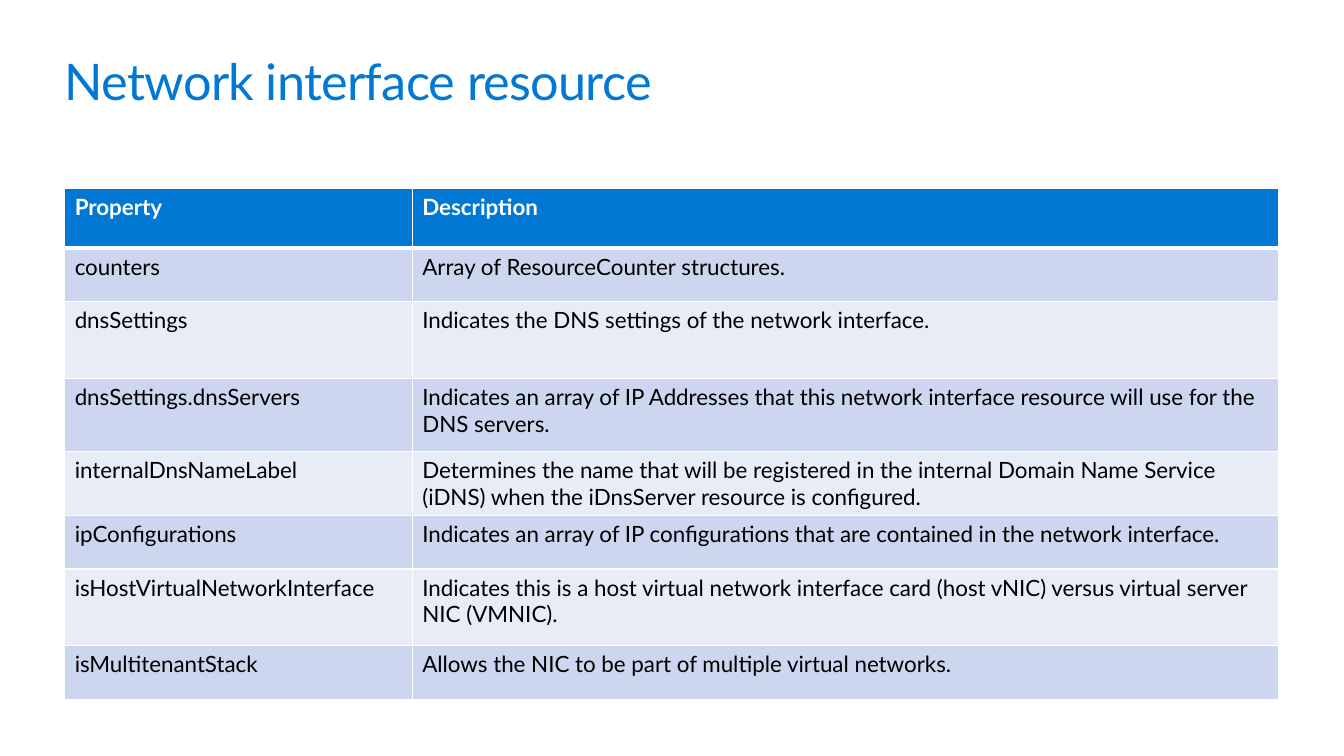
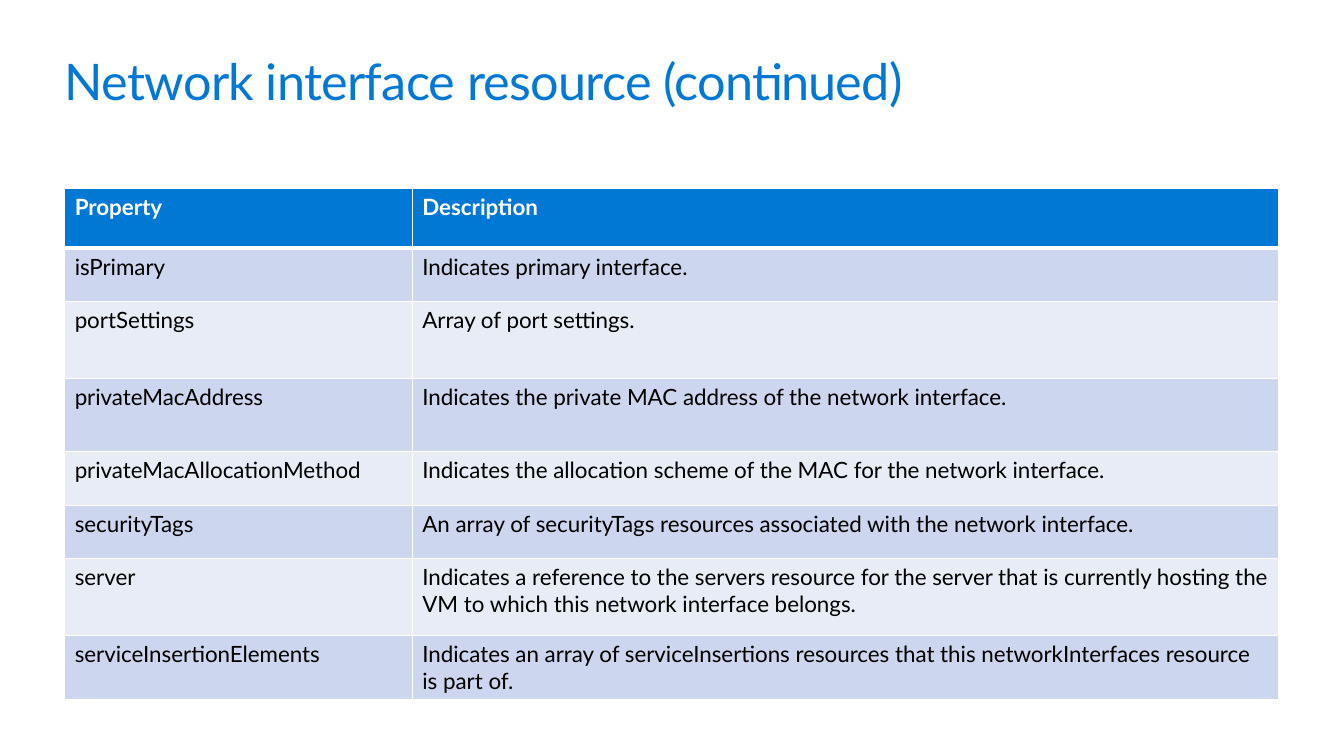
from dataclasses import dataclass

from lxml.etree import SubElement
from pptx import Presentation
from pptx.dml.color import RGBColor
from pptx.oxml.ns import qn
from pptx.slide import Slide
from pptx.table import _Cell
from pptx.text.text import TextFrame
from pptx.util import Cm, Pt

FONT = "Lato"
BLUE = "0078D4"
WHITE = "FFFFFF"
BLACK = "000000"
BANDS = ("CCD6EF", "E7ECF7")

LEFT = Cm(1.63)
TITLE_TOP, TITLE_HEIGHT = Cm(1.27), Cm(1.55)
TABLE_TOP = Cm(4.75)
COLUMN_WIDTHS = (Cm(8.76), Cm(21.84))
CONTENT_WIDTH = sum(COLUMN_WIDTHS)
ROW_HEIGHTS = [Cm(height) for height in (1.5, 1.35, 1.93, 1.85, 1.35, 1.35, 1.93, 1.35)]
HEADER = ("Property", "Description")
THIN, THICK = Pt(1), Pt(3)


@dataclass(frozen=True)
class PropertyPage:
    title: str
    properties: tuple[tuple[str, str], ...]


PAGES = (
    PropertyPage("Network interface resource", (
        ("counters", "Array of ResourceCounter structures."),
        ("dnsSettings", "Indicates the DNS settings of the network interface."),
        ("dnsSettings.dnsServers",
         "Indicates an array of IP Addresses that this network interface resource "
         "will use for the DNS servers."),
        ("internalDnsNameLabel",
         "Determines the name that will be registered in the internal Domain Name "
         "Service (iDNS) when the iDnsServer resource is configured."),
        ("ipConfigurations",
         "Indicates an array of IP configurations that are contained in the network interface."),
        ("isHostVirtualNetworkInterface",
         "Indicates this is a host virtual network interface card (host vNIC) versus "
         "virtual server NIC (VMNIC)."),
        ("isMultitenantStack", "Allows the NIC to be part of multiple virtual networks."),
    )),
    PropertyPage("Network interface resource (continued)", (
        ("isPrimary", "Indicates primary interface."),
        ("portSettings", "Array of port settings."),
        ("privateMacAddress", "Indicates the private MAC address of the network interface."),
        ("privateMacAllocationMethod",
         "Indicates the allocation scheme of the MAC for the network interface."),
        ("securityTags",
         "An array of securityTags resources associated with the network interface."),
        ("server",
         "Indicates a reference to the servers resource for the server that is currently "
         "hosting the VM to which this network interface belongs."),
        ("serviceInsertionElements",
         "Indicates an array of serviceInsertions resources that this networkInterfaces "
         "resource is part of."),
    )),
)


def color(value: str) -> RGBColor:
    return RGBColor.from_string(value)


def write(frame: TextFrame, text: str, *, size: float, fill: str,
          bold: bool = False, spacing: float = 0) -> None:
    """Write one formatted span; spacing is the letter spacing in points."""
    span = frame.paragraphs[0].add_run()
    span.text = text
    span.font.name = FONT
    span.font.size = Pt(size)
    span.font.bold = bold
    span.font.color.rgb = color(fill)
    if spacing:
        span.font._element.set("spc", str(round(spacing * 100)))


def set_borders(cell: _Cell, *, top: int, bottom: int) -> None:
    properties = cell._tc.get_or_add_tcPr()
    for side, width in (("L", THIN), ("R", THIN), ("T", top), ("B", bottom)):
        line = SubElement(properties, qn(f"a:ln{side}"), w=str(width))
        SubElement(SubElement(line, qn("a:solidFill")), qn("a:srgbClr"), val=WHITE)


def add_title(page: Slide, text: str) -> None:
    box = page.shapes.add_textbox(LEFT, TITLE_TOP, CONTENT_WIDTH, TITLE_HEIGHT)
    frame = box.text_frame
    frame.word_wrap = True
    frame.margin_left = frame.margin_top = frame.margin_right = frame.margin_bottom = 0
    write(frame, text, size=36, fill=BLUE, spacing=-0.5)


def add_property_table(page: Slide, properties: tuple[tuple[str, str], ...]) -> None:
    rows = (HEADER, *properties)
    table = page.shapes.add_table(len(rows), len(HEADER), LEFT, TABLE_TOP,
                                  CONTENT_WIDTH, sum(ROW_HEIGHTS)).table
    table.horz_banding = False
    for column, width in zip(table.columns, COLUMN_WIDTHS):
        column.width = width
    for index, (texts, height) in enumerate(zip(rows, ROW_HEIGHTS)):
        table.rows[index].height = height
        is_header = index == 0
        for cell, text in zip(table.rows[index].cells, texts):
            set_borders(cell, top=THICK if index == 1 else THIN,
                        bottom=THICK if is_header else THIN)
            cell.fill.solid()
            cell.fill.fore_color.rgb = color(BLUE if is_header else BANDS[(index - 1) % 2])
            write(cell.text_frame, text, size=16, bold=is_header,
                  fill=WHITE if is_header else BLACK)


def main() -> None:
    deck = Presentation()
    deck.slide_width, deck.slide_height = Cm(33.87), Cm(19.05)
    blank = deck.slide_layouts[6]
    for content in PAGES:
        page = deck.slides.add_slide(blank)
        add_title(page, content.title)
        add_property_table(page, content.properties)
    deck.save("out.pptx")


if __name__ == "__main__":
    main()
